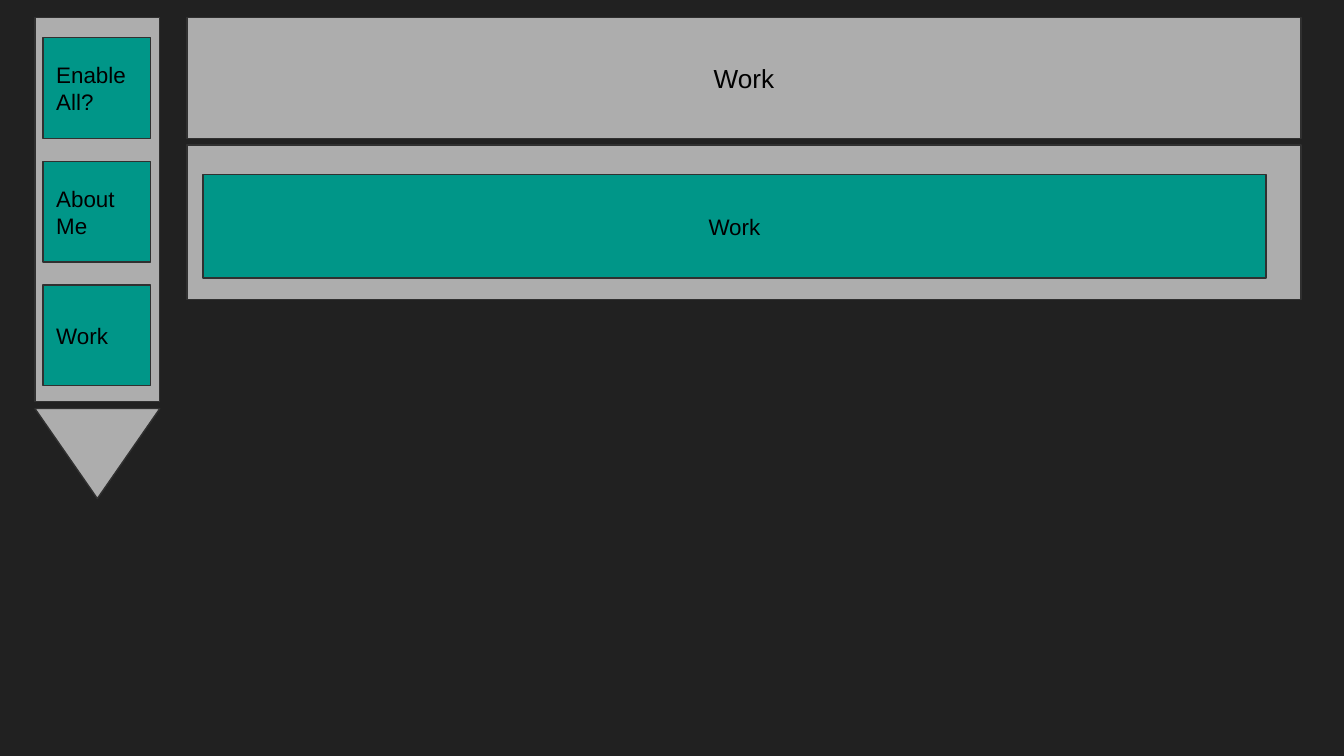
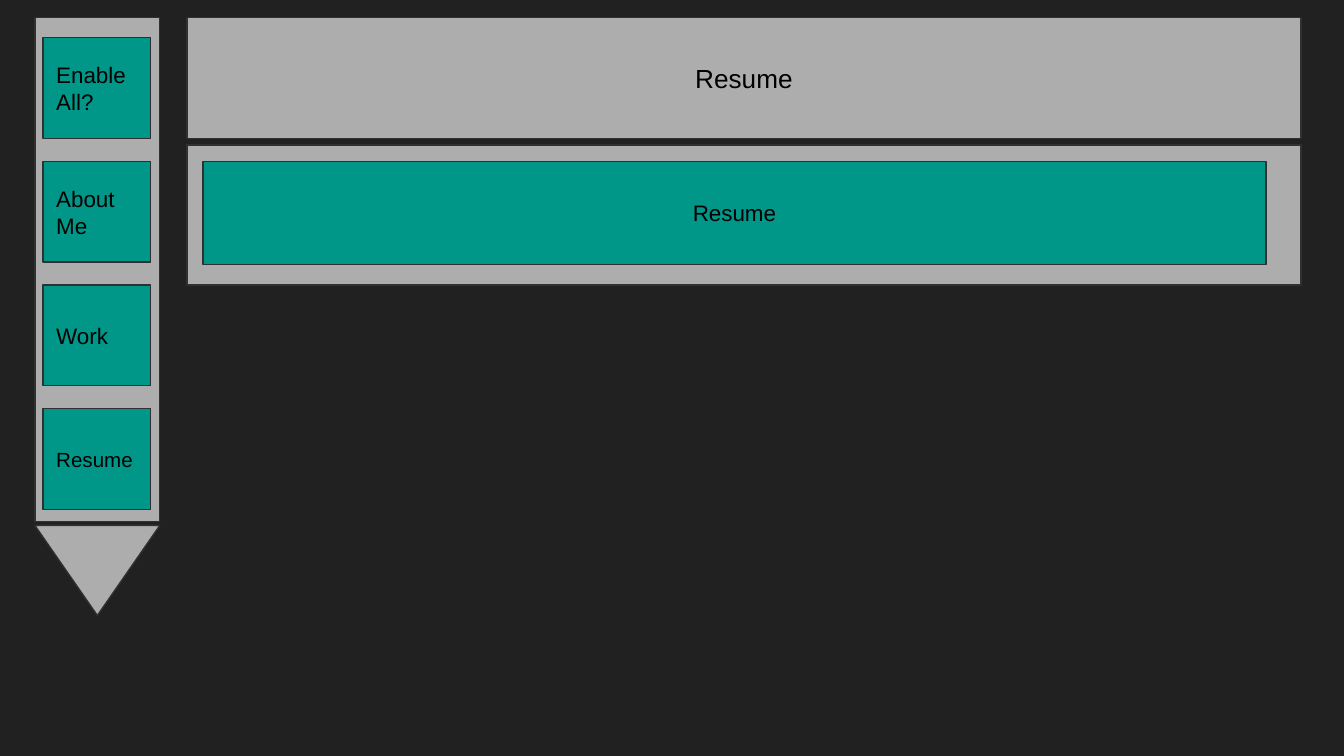
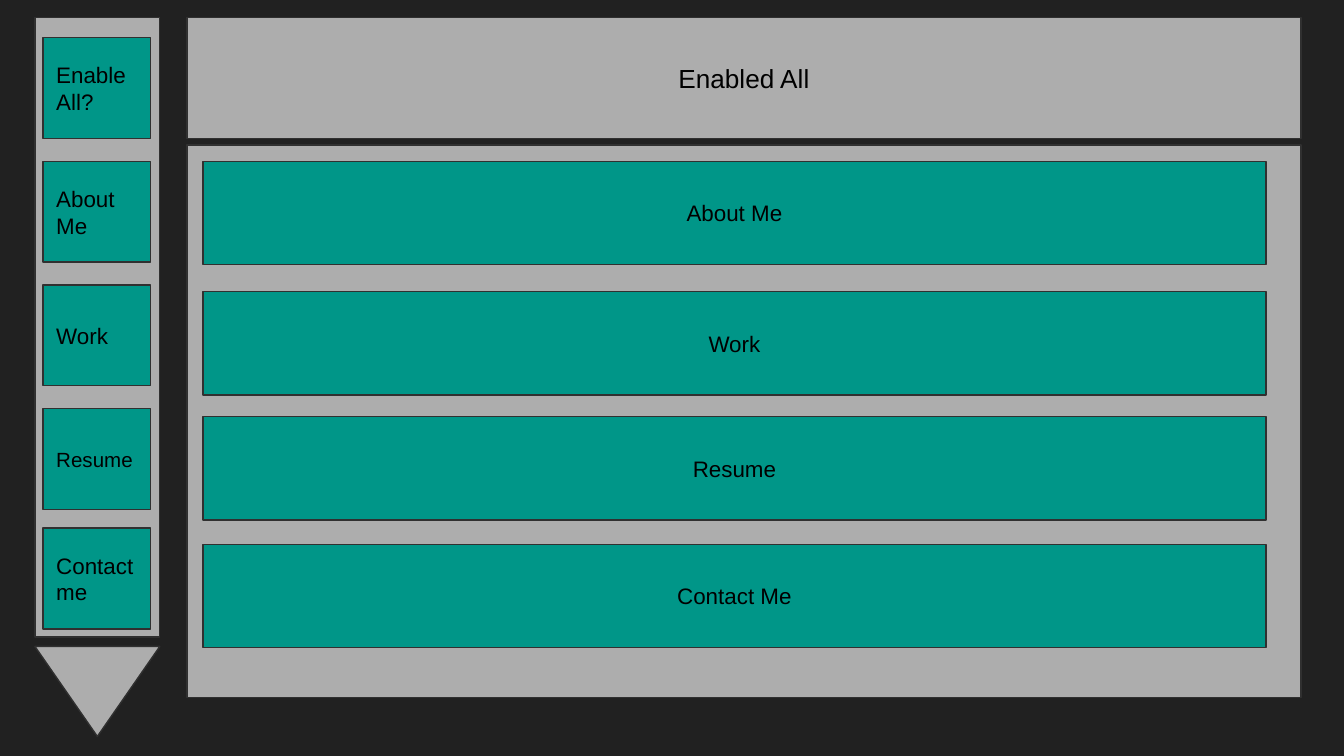
from pptx import Presentation
from pptx import util as u
from pptx.dml.color import RGBColor
from pptx.enum import shapes, text

HUES = {"back": "212121", "panel": "ADADAD", "card": "009688",
        "edge": "303030", "ink": "000000"}
FONT = "Arial"
RECT = shapes.MSO_SHAPE.RECTANGLE
MERGE = shapes.MSO_SHAPE.FLOWCHART_MERGE
LEFT, MID = text.PP_ALIGN.LEFT, text.PP_ALIGN.CENTER
TABS = [("Enable All?", 0.28, 12), ("About Me", 1.2, 12), ("Work", 2.12, 12),
        ("Resume", 3.04, 11), ("Contact me", 3.93, 12)]


def hue(name):
    return RGBColor.from_string(HUES[name])


def block(slide, kind, box, fill):
    shape = slide.shapes.add_shape(kind, *[u.Inches(n) for n in box])
    shape.shadow.inherit = False
    shape.fill.solid()
    shape.fill.fore_color.rgb = hue(fill)
    shape.line.color.rgb = hue("edge")
    shape.line.width = u.Pt(0.75)
    return shape


def label(shape, words, size, align):
    frame = shape.text_frame
    frame.word_wrap = True
    frame.vertical_anchor = text.MSO_ANCHOR.MIDDLE
    frame.margin_left = frame.margin_right = u.Inches(0.1)
    frame.margin_top = frame.margin_bottom = u.Inches(0.1)
    line = frame.paragraphs[0]
    line.text = words
    line.alignment = align
    line.font.name = FONT
    line.font.size = u.Pt(size)
    line.font.color.rgb = hue("ink")


def header(slide, title):
    shape = block(slide, RECT, (1.39, 0.13, 8.29, 0.9), "panel")
    label(shape, title, 14, MID)


def menu(slide, count, high, tip):
    block(slide, MERGE, (0.26, tip, 0.93, 0.67), "panel")
    block(slide, RECT, (0.26, 0.13, 0.93, high), "panel")
    for words, top, size in TABS[:count]:
        shape = block(slide, RECT, (0.32, top, 0.8, 0.75), "card")
        label(shape, words, size, LEFT)


def content(slide, cards, high):
    block(slide, RECT, (1.39, 1.08, 8.29, high), "panel")
    for words, top in cards:
        shape = block(slide, RECT, (1.51, top, 7.91, 0.77), "card")
        label(shape, words, 12, MID)


def page(deck, title, tabs, bar, tip, cards, high):
    slide = deck.slides.add_slide(deck.slide_layouts[6])
    slide.background.fill.solid()
    slide.background.fill.fore_color.rgb = hue("back")
    header(slide, title)
    menu(slide, tabs, bar, tip)
    content(slide, cards, high)


def main():
    deck = Presentation()
    deck.slide_width = u.Inches(10)
    deck.slide_height = u.Inches(10) * 9 // 16
    page(deck, "Work", 3, 2.86, 3.04, [("Work", 1.3)], 1.15)
    page(deck, "Resume", 4, 3.75, 3.91, [("Resume", 1.2)], 1.04)
    page(deck, "Enabled All", 5, 4.61, 4.81,
         [("About Me", 1.2), ("Work", 2.17), ("Resume", 3.1),
          ("Contact Me", 4.05)], 4.11)
    deck.save("out.pptx")


if __name__ == "__main__":
    main()
